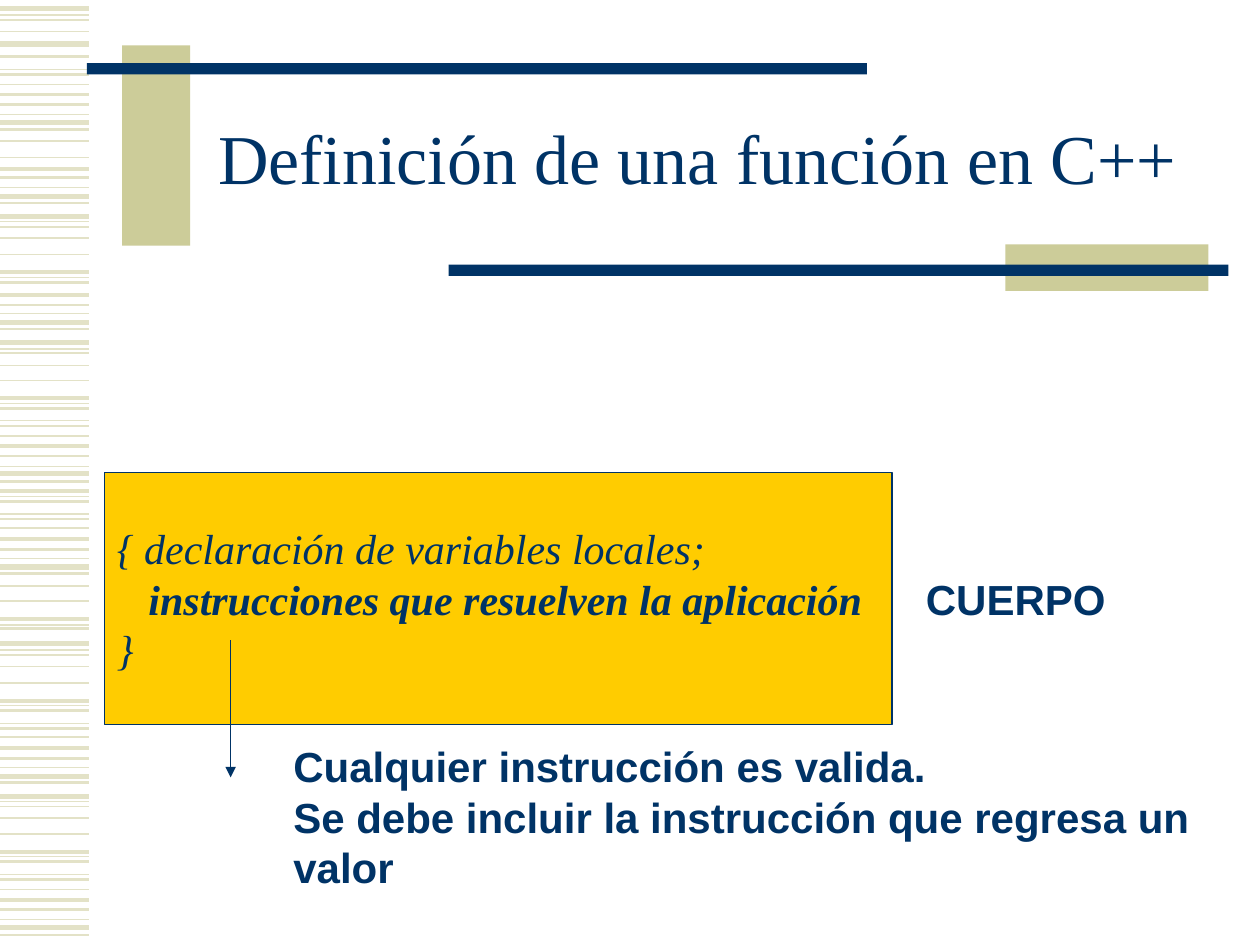
from lxml.etree import SubElement
from pptx import Presentation
from pptx.dml.color import RGBColor
from pptx.enum.shapes import MSO_CONNECTOR, MSO_SHAPE
from pptx.enum.text import MSO_ANCHOR, MSO_AUTO_SIZE, PP_ALIGN
from pptx.oxml.ns import qn
from pptx.util import Pt

PX = 9144  # EMU per px, 100 px to the inch
HUES = {"navy": "003366", "khaki": "CCCC99", "pale": "E3E2C7", "gold": "FFCC00"}
HUES = {name: RGBColor.from_string(code) for name, code in HUES.items()}

# Line weight in points -> heights of the margin stripes
STRIPES = {
    3: [7, 35, 97, 156, 172, 256, 272, 376, 450, 511, 616, 632, 736],
    2.25: [75, 134, 216, 234, 316, 354, 390, 428, 491, 556, 594, 676, 714],
    1.5: [45, 59, 83, 103, 141, 161, 224, 242, 261, 324, 338, 362, 382,
          398, 412, 436, 455, 499, 564, 578, 602, 621, 684, 698, 722, 742],
    1: [16, 25, 67, 112, 125, 180, 189, 202, 280, 290, 302, 346, 419, 465,
        477, 520, 529, 542, 585, 640, 649, 662, 706],
    0.75: [12, 55, 91, 149, 176, 220, 249, 277, 320, 334, 370, 394, 408, 443,
           496, 516, 560, 574, 609, 636, 680, 694, 730],
}

deck = Presentation()
deck.slide_width, deck.slide_height = 1000 * PX, 750 * PX
slide = deck.slides.add_slide(deck.slide_layouts[5])
shapes = slide.shapes


def draw_line(x1, y1, x2, y2, hue, weight):
    line = shapes.add_connector(
        MSO_CONNECTOR.STRAIGHT, x1 * PX, y1 * PX, x2 * PX, y2 * PX)
    line.line.color.rgb = HUES[hue]
    line.line.width = Pt(weight)
    SubElement(line._element.spPr, qn("a:effectLst"))
    return line


def write(frame, rows, face, size):
    """Fill a frame with rows of (text, bold, italic) runs."""
    for i, row in enumerate(rows):
        para = frame.paragraphs[0] if i == 0 else frame.add_paragraph()
        para.alignment = PP_ALIGN.LEFT
        for text, bold, slant in row:
            run = para.add_run()
            run.text = text
            font = run.font
            font.name, font.size = face, Pt(size)
            font.bold, font.italic = bold, slant
            font.color.rgb = HUES["navy"]


for weight, tops in STRIPES.items():
    for y in tops:
        draw_line(0, y, 71, y, "pale", weight)

# Title bars, then the box of code
for x, y, w, h, hue in [
    (97, 36, 54, 159, "khaki"),
    (69, 50, 619, 9, "navy"),
    (798, 194, 161, 37, "khaki"),
    (356, 210, 619, 9, "navy"),
    (83, 375, 625, 200, "gold"),
]:
    box = shapes.add_shape(MSO_SHAPE.RECTANGLE, x * PX, y * PX, w * PX, h * PX)
    box.shadow.inherit = False
    box.fill.solid()
    box.fill.fore_color.rgb = HUES[hue]
    box.line.fill.background()

box.line.color.rgb = HUES["navy"]
box.line.width = Pt(0.75)
body = box.text_frame
body.word_wrap = True
body.vertical_anchor = MSO_ANCHOR.MIDDLE
write(body, [
    [("{ declaración de variables locales;", False, True)],
    [("  ", False, True),
     (" instrucciones que resuelven la aplicación", True, True)],
    [("}", False, True)],
], "Times New Roman", 24)

title = shapes.title
title.left, title.top, title.width, title.height = (
    n * PX for n in (150, 67, 807, 125))
head = title.text_frame
head.auto_size = MSO_AUTO_SIZE.NONE
head.word_wrap = True
head.vertical_anchor = MSO_ANCHOR.MIDDLE
write(head, [[("Definición de una función en C++", False, False)]],
      "Times New Roman", 40)
head.paragraphs[0].alignment = PP_ALIGN.CENTER
head.paragraphs[0].line_spacing = 0.85

for x, y, w, h, rows in [
    (725, 450, 170, 50, ["CUERPO"]),
    (223, 583, 740, 130, ["Cualquier instrucción es valida.",
                          "Se debe incluir la instrucción que regresa un",
                          "valor"]),
]:
    note = shapes.add_textbox(x * PX, y * PX, w * PX, h * PX).text_frame
    note.word_wrap = True
    note.auto_size = MSO_AUTO_SIZE.NONE
    write(note, [[(row, True, False)] for row in rows], "Arial", 24)

arrow = draw_line(183, 508, 183, 617, "navy", 0.75)
SubElement(arrow._element.spPr.get_or_add_ln(), qn("a:tailEnd"), type="triangle")

deck.save("out.pptx")
